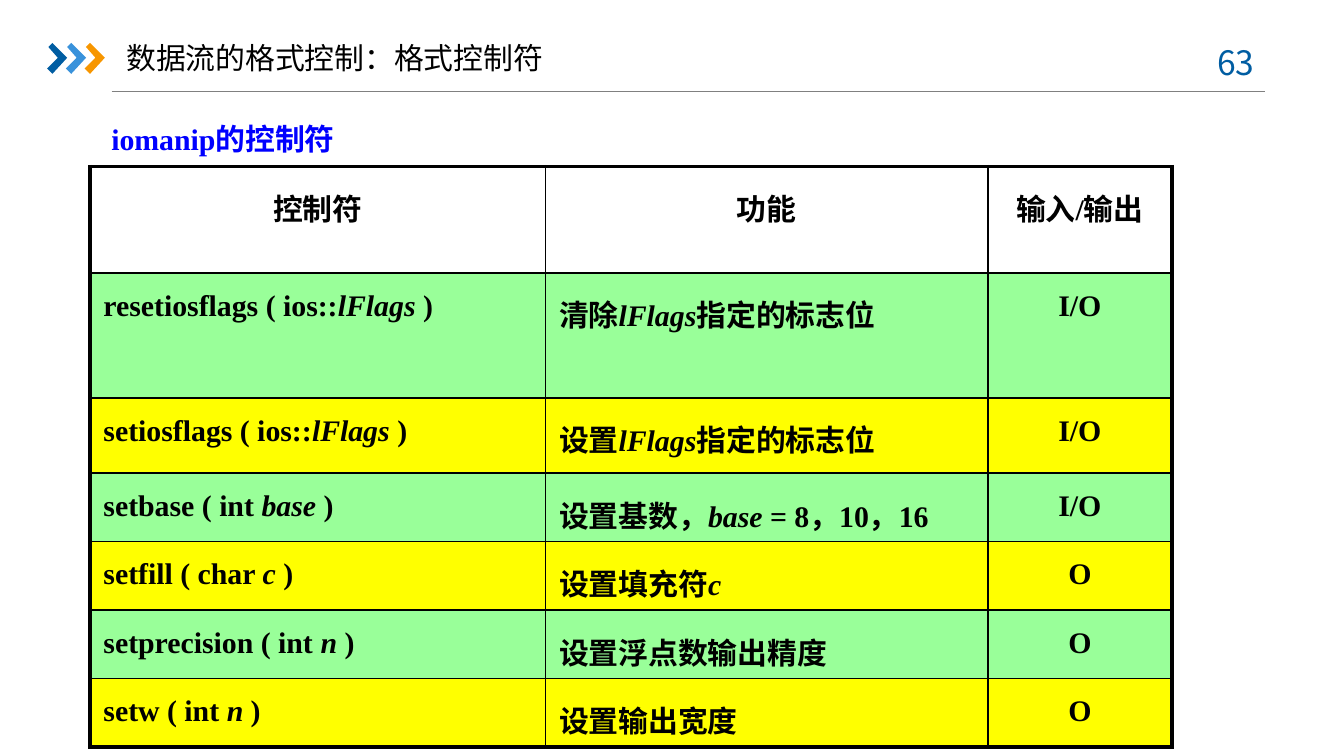
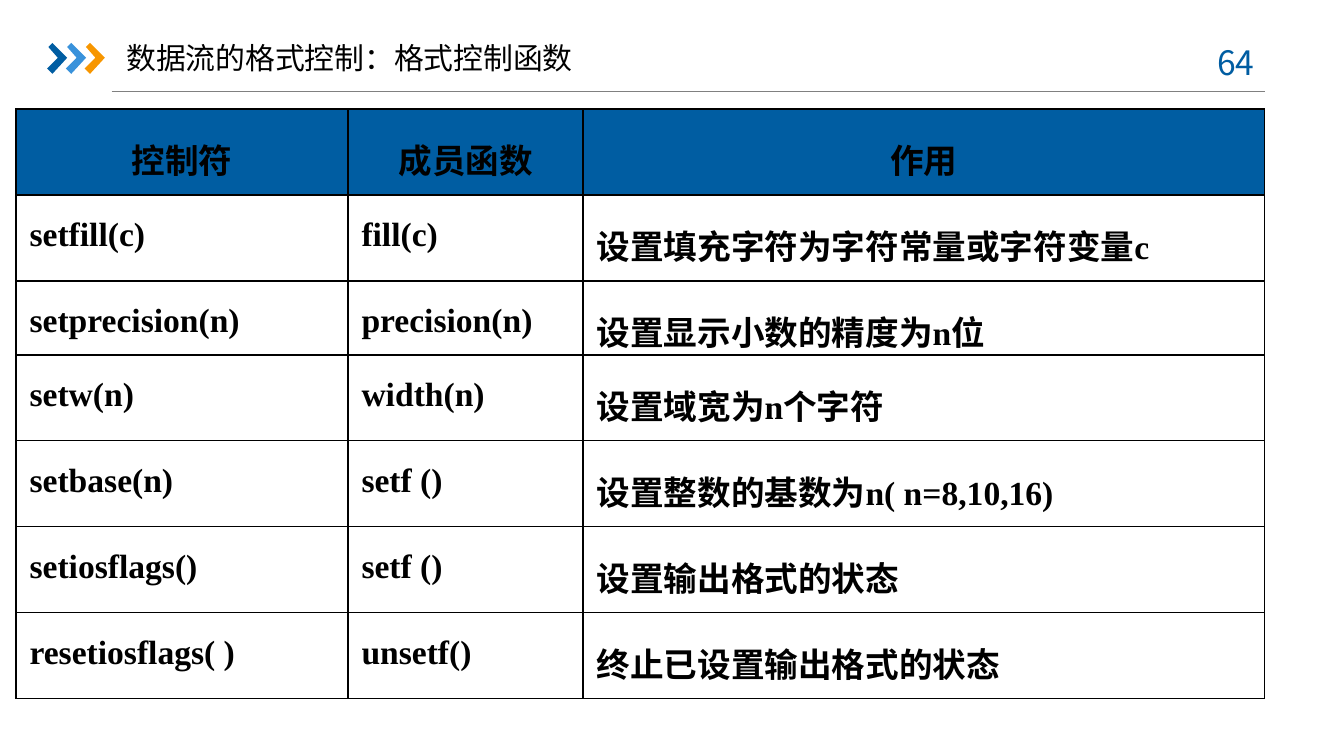
"""Build two slides on stream format manipulators and member functions."""
from dataclasses import dataclass

from lxml import etree
from pptx import Presentation
from pptx.dml.color import RGBColor
from pptx.enum.shapes import MSO_CONNECTOR
from pptx.enum.text import MSO_ANCHOR, MSO_AUTO_SIZE, PP_ALIGN
from pptx.oxml.ns import qn
from pptx.util import Inches, Pt

LEFT, CENTER = PP_ALIGN.LEFT, PP_ALIGN.CENTER
TOP, MIDDLE = MSO_ANCHOR.TOP, MSO_ANCHOR.MIDDLE
STRAIGHT = MSO_CONNECTOR.STRAIGHT
GROW, FIXED = MSO_AUTO_SIZE.SHAPE_TO_FIT_TEXT, MSO_AUTO_SIZE.NONE

SLIDE_WIDTH = Inches(10)
SLIDE_HEIGHT = SLIDE_WIDTH * 9 // 16
SANS = "Noto Sans CJK SC"
SERIF = "Times New Roman"
COLORS = {
    "navy": "005DA2",
    "sky": "3992DB",
    "orange": "F79600",
    "gray": "808080",
    "blue": "0000FF",
    "green": "99FF99",
    "yellow": "FFFF00",
    "white": "FFFFFF",
    "black": "000000",
}
CHEVRON = [(0.36, 0.35), (0.39, 0.32), (0.5, 0.43), (0.39, 0.55), (0.35, 0.51), (0.43, 0.43)]
CHEVRON_COLORS = ("navy", "sky", "orange")
CHEVRON_STEP = 0.14


@dataclass(frozen=True)
class TableDesign:
    """Place, format and content of a table; asterisks enclose italics."""

    left: float
    top: float
    columns: tuple[float, ...]
    row_heights: tuple[float, ...]
    rows: tuple[tuple[str, ...], ...]
    alignments: tuple[PP_ALIGN, ...]
    header_fill: str
    body_fills: tuple[str | None, ...]
    size: float
    line_spacing: float
    outer_border: float = 1
    hanging: float = 0


@dataclass(frozen=True)
class Page:
    """Content of one slide."""

    number: int
    title: str
    table: TableDesign
    subtitle: str = ""


MANIPULATORS = TableDesign(
    left=0.67,
    top=1.24,
    columns=(3.39, 3.29, 1.37),
    row_heights=(0.79, 0.93, 0.56) + (0.51,) * 4,
    rows=(
        ("控制符", "功能", "输入/输出"),
        ("resetiosflags ( ios::*lFlags *)", "清除*lFlags*指定的标志位", "I/O"),
        ("setiosflags ( ios::*lFlags *)", "设置*lFlags*指定的标志位", "I/O"),
        ("setbase ( int *base* )", "设置基数，*base* = 8，10，16", "I/O"),
        ("setfill ( char *c *)", "设置填充符*c*", "O"),
        ("setprecision ( int *n* )", "设置浮点数输出精度", "O"),
        ("setw ( int *n* )", "设置输出宽度", "O"),
    ),
    alignments=(LEFT, LEFT, CENTER),
    header_fill="white",
    body_fills=("green", "yellow"),
    size=16,
    line_spacing=1.3,
    outer_border=2.25,
)
MEMBER_FUNCTIONS = TableDesign(
    left=0.12,
    top=0.81,
    columns=(2.47, 1.75, 5.07),
    row_heights=(0.64, 0.64, 0.55) + (0.64,) * 4,
    rows=(
        ("控制符", "成员函数", "作用"),
        ("setfill(c)", "fill(c)", "设置填充字符为字符常量或字符变量c"),
        ("setprecision(n)", "precision(n)", "设置显示小数的精度为n位"),
        ("setw(n)", "width(n)", "设置域宽为n个字符"),
        ("setbase(n)", "setf ()", "设置整数的基数为n( n=8,10,16)"),
        ("setiosflags()", "setf ()", "设置输出格式的状态"),
        ("resetiosflags( )", "unsetf()", "终止已设置输出格式的状态"),
    ),
    alignments=(LEFT, LEFT, LEFT),
    header_fill="navy",
    body_fills=(None,),
    size=18,
    line_spacing=1.4,
    hanging=0.38,
)
PAGES = (
    Page(63, "数据流的格式控制：格式控制符", MANIPULATORS, "iomanip的控制符"),
    Page(64, "数据流的格式控制：格式控制函数", MEMBER_FUNCTIONS),
)


def rgb(name: str) -> RGBColor:
    """Look up a colour by name."""
    return RGBColor.from_string(COLORS[name])


def write_text(frame, text: str, *, size: float, font: str = SERIF, color: str = "black",
               bold: bool = False, alignment: PP_ALIGN = LEFT,
               line_spacing: float = 1.0, hanging: float = 0) -> None:
    """Write one paragraph, with italics between asterisks."""
    paragraph = frame.paragraphs[0]
    paragraph.alignment = alignment
    paragraph.line_spacing = line_spacing
    if hanging:
        properties = paragraph._p.get_or_add_pPr()
        properties.set("marL", str(Inches(hanging)))
        properties.set("indent", str(-Inches(hanging)))
    for index, part in enumerate(text.split("*")):
        if not part:
            continue
        run = paragraph.add_run()
        run.text = part
        run.font.name = font
        run.font.size = Pt(size)
        run.font.bold = bold
        run.font.italic = index % 2 == 1
        run.font.color.rgb = rgb(color)
        east_asian = etree.SubElement(run._r.get_or_add_rPr(), qn("a:ea"))
        east_asian.set("typeface", SANS)


def add_text_box(slide, left: float, top: float, width: float, height: float, text: str, *,
                 anchor: MSO_ANCHOR = TOP, auto_size: MSO_AUTO_SIZE = GROW,
                 side_margin: float = 0.1, **text_format) -> None:
    """Add a wrapping text box."""
    shape = slide.shapes.add_textbox(Inches(left), Inches(top), Inches(width), Inches(height))
    frame = shape.text_frame
    frame.word_wrap = True
    frame.auto_size = auto_size
    frame.vertical_anchor = anchor
    frame.margin_left = frame.margin_right = Inches(side_margin)
    write_text(frame, text, **text_format)


def add_frame(slide, page: Page) -> None:
    """Draw the rule, chevrons, page number and title of a slide."""
    rule = slide.shapes.add_connector(STRAIGHT, Inches(0.83), Inches(0.68), Inches(9.41), Inches(0.68))
    rule.line.color.rgb = rgb("gray")
    rule.line.width = Pt(0.75)
    etree.SubElement(rule._element.spPr, qn("a:effectLst"))
    for index, color in enumerate(CHEVRON_COLORS):
        points = [(Inches(x + index * CHEVRON_STEP), Inches(y)) for x, y in CHEVRON]
        builder = slide.shapes.build_freeform(*points[0])
        builder.add_line_segments(points[1:], close=True)
        shape = builder.convert_to_shape()
        shape.shadow.inherit = False
        shape.fill.solid()
        shape.fill.fore_color.rgb = rgb(color)
        shape.line.fill.background()
    add_text_box(slide, 8.86, 0.26, 0.73, 0.4, f"{page.number} ",
                 size=18, font=SANS, color="navy", alignment=CENTER)
    add_text_box(slide, 0.94, 0.22, 7.21, 0.42, page.title, anchor=MIDDLE,
                 auto_size=FIXED, side_margin=0, size=16, font=SANS)


def set_borders(cell, widths: dict[str, float]) -> None:
    """Give a cell black borders with a width in points for each side."""
    properties = cell._tc.get_or_add_tcPr()
    for side, width in widths.items():
        line = etree.SubElement(properties, qn(f"a:ln{side}"), w=str(Pt(width)))
        fill = etree.SubElement(line, qn("a:solidFill"))
        etree.SubElement(fill, qn("a:srgbClr"), val=COLORS["black"])


def add_table(slide, design: TableDesign) -> None:
    """Add a table with its borders, fills and text."""
    row_count, column_count = len(design.rows), len(design.columns)
    table = slide.shapes.add_table(
        row_count, column_count, Inches(design.left), Inches(design.top),
        Inches(sum(design.columns)), Inches(sum(design.row_heights))).table
    table.first_row = table.horz_banding = False
    for column, width in zip(table.columns, design.columns):
        column.width = Inches(width)
    for row, height in zip(table.rows, design.row_heights):
        row.height = Inches(height)
    for row_index, texts in enumerate(design.rows):
        is_header = row_index == 0
        body_fill = design.body_fills[(row_index - 1) % len(design.body_fills)]
        fill = design.header_fill if is_header else body_fill
        for column_index, text in enumerate(texts):
            cell = table.cell(row_index, column_index)
            edges = {
                "L": column_index == 0,
                "R": column_index == column_count - 1,
                "T": is_header,
                "B": row_index == row_count - 1,
            }
            set_borders(cell, {side: design.outer_border if outer else 1
                               for side, outer in edges.items()})
            if fill:
                cell.fill.solid()
                cell.fill.fore_color.rgb = rgb(fill)
            else:
                cell.fill.background()
            write_text(cell.text_frame, text, size=design.size, bold=True,
                       alignment=CENTER if is_header else design.alignments[column_index],
                       line_spacing=design.line_spacing, hanging=design.hanging)


def main() -> None:
    """Build and save the presentation."""
    presentation = Presentation()
    presentation.slide_width = SLIDE_WIDTH
    presentation.slide_height = SLIDE_HEIGHT
    for page in PAGES:
        slide = presentation.slides.add_slide(presentation.slide_layouts[6])
        add_frame(slide, page)
        if page.subtitle:
            add_text_box(slide, 0.73, 0.77, 7.42, 0.41, page.subtitle,
                         size=16, color="blue", bold=True, line_spacing=1.3)
        add_table(slide, page.table)
    presentation.save("out.pptx")


if __name__ == "__main__":
    main()
